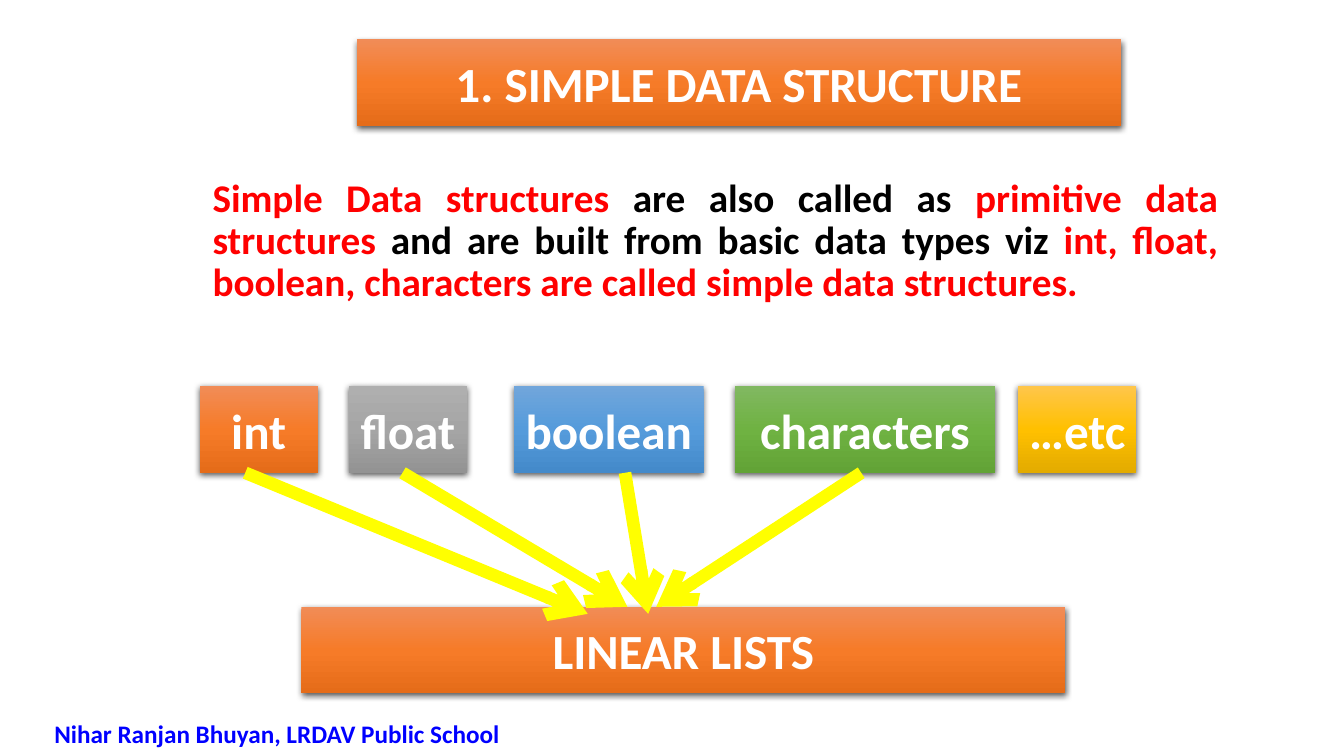
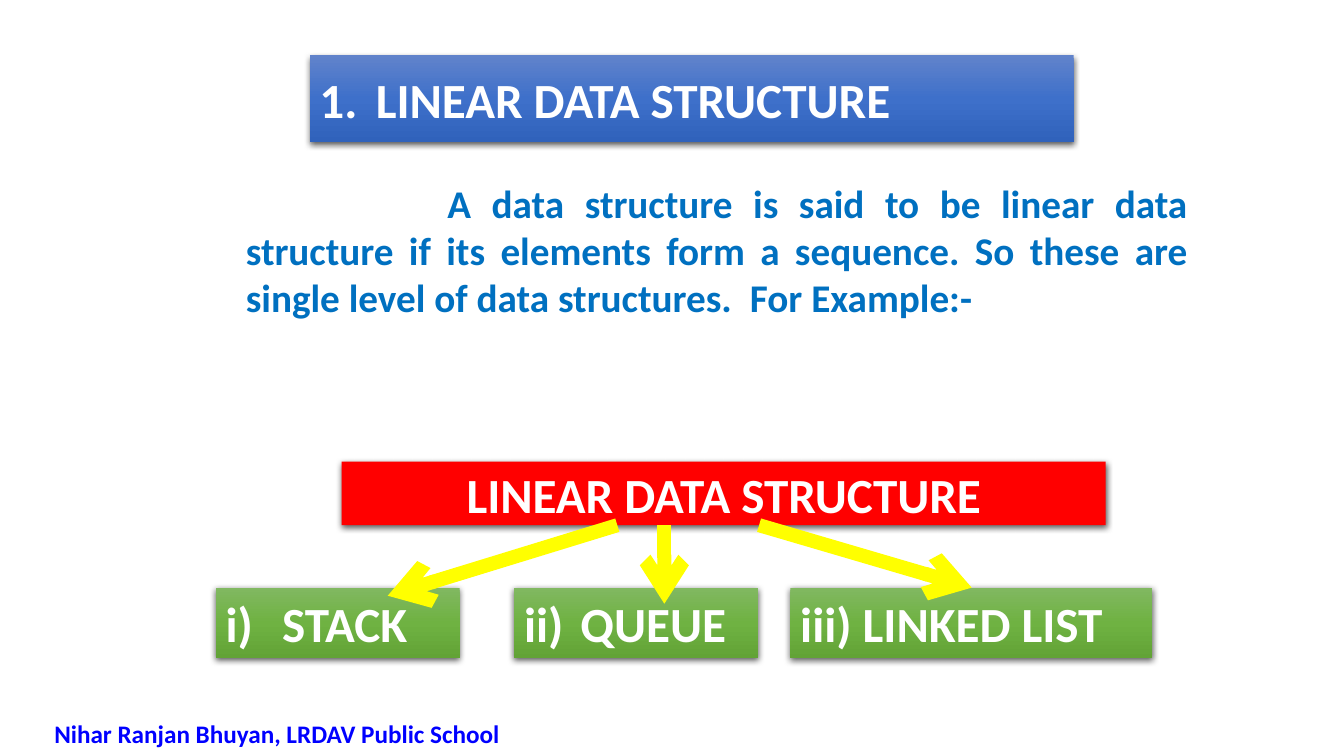
from collections import namedtuple
from copy import deepcopy

from lxml import etree
from pptx import Presentation
from pptx import util as u
from pptx.dml.color import RGBColor
from pptx.enum import shapes, text
from pptx.oxml import ns

# Boxes and offsets are percentages of the slide's width and height
SLIDE_WIDTH, SLIDE_HEIGHT = u.Inches(13.33), u.Inches(7.5)
Box = namedtuple("Box", "left top width height")

FONT = "Calibri"
BLOCK_SIZE, BODY_SIZE, FOOTER_SIZE = 35.1, 28, 18
HANGING = 0.56
BANNER_WIDTH, BANNER_HEIGHT = 56.85, 11.47

WHITE = RGBColor(0xFF, 0xFF, 0xFF)
BLACK = RGBColor(0x00, 0x00, 0x00)
RED = RGBColor(0xFF, 0x00, 0x00)
YELLOW = RGBColor(0xFF, 0xFF, 0x00)
FOOTER_BLUE = RGBColor(0x00, 0x00, 0xFF)
BODY_BLUE = RGBColor(0x00, 0x70, 0xC0)

# Gradients run from top to bottom
ORANGE = (RGBColor(0xF1, 0x8C, 0x57), RGBColor(0xF6, 0x7B, 0x28), RGBColor(0xE5, 0x6C, 0x19))
GRAY = (RGBColor(0xAF, 0xAF, 0xAF), RGBColor(0xA5, 0xA5, 0xA5), RGBColor(0x93, 0x93, 0x93))
SKY = (RGBColor(0x71, 0xA6, 0xDB), RGBColor(0x55, 0x9B, 0xDB), RGBColor(0x44, 0x8A, 0xCA))
GREEN = (RGBColor(0x81, 0xB8, 0x61), RGBColor(0x6F, 0xB2, 0x42), RGBColor(0x62, 0xA3, 0x36))
GOLD = (RGBColor(0xFF, 0xC6, 0x4B), RGBColor(0xFF, 0xC0, 0x00), RGBColor(0xE3, 0xAB, 0x00))
BLUE = (RGBColor(0x61, 0x83, 0xCB), RGBColor(0x3E, 0x70, 0xCA), RGBColor(0x30, 0x62, 0xBB))


def across(share):
    return round(SLIDE_WIDTH * share / 100)


def down(share):
    return round(SLIDE_HEIGHT * share / 100)


def place(box):
    return across(box.left), down(box.top), across(box.width), down(box.height)


def add_runs(paragraph, runs, size):
    for words, color in runs:
        run = paragraph.add_run()
        run.text = words
        run.font.name = FONT
        run.font.size = u.Pt(size)
        run.font.bold = True
        run.font.color.rgb = color


def set_indent(paragraph, margin, first_line):
    properties = paragraph._p.get_or_add_pPr()
    properties.set("marL", str(u.Inches(margin)))
    properties.set("indent", str(u.Inches(first_line)))


def fill_gradient(shape, colors):
    shape.fill.gradient()
    shape.fill.gradient_angle = 270
    stop_list = shape._element.spPr.find(".//" + ns.qn("a:gsLst"))
    stop_list.append(deepcopy(stop_list[-1]))
    for stop, position, color in zip(shape.fill.gradient_stops, (0, 0.5, 1), colors):
        stop.position = position
        stop.color.rgb = color


def add_shadow(shape):
    shape.shadow.inherit = False
    effects = shape._element.spPr.find(ns.qn("a:effectLst"))
    shadow = etree.SubElement(effects, ns.qn("a:outerShdw"), blurRad=str(u.Pt(4.5)),
                              dist=str(u.Pt(1.5)), dir="5400000", algn="ctr", rotWithShape="0")
    color = etree.SubElement(shadow, ns.qn("a:srgbClr"), val=str(BLACK))
    etree.SubElement(color, ns.qn("a:alpha"), val="63000")


def add_block(slide, box, label, colors, centered=True):
    """Shadowed rectangle; labels that are not centred have a hanging number."""
    shape = slide.shapes.add_shape(shapes.MSO_SHAPE.RECTANGLE, *place(box))
    if isinstance(colors, RGBColor):
        shape.fill.solid()
        shape.fill.fore_color.rgb = colors
    else:
        fill_gradient(shape, colors)
    shape.line.fill.background()
    add_shadow(shape)
    frame = shape.text_frame
    frame.word_wrap = True
    frame.vertical_anchor = text.MSO_ANCHOR.MIDDLE
    paragraph = frame.paragraphs[0]
    if centered:
        paragraph.alignment = text.PP_ALIGN.CENTER
    else:
        paragraph.alignment = text.PP_ALIGN.LEFT
        set_indent(paragraph, HANGING, -HANGING)
    add_runs(paragraph, [(label, WHITE)], BLOCK_SIZE)


def add_block_row(slide, row, blocks, centered=True):
    """Blocks as (label, offset in the row, width, colours); returns their boxes."""
    boxes = []
    for label, offset, width, colors in blocks:
        box = Box(row.left + offset, row.top, width, row.height)
        add_block(slide, box, label, colors, centered)
        boxes.append(box)
    return boxes


def add_arrow(slide, source, start, target, end, drop, weight):
    """Arrow from the bottom edge of source to a point below target's top edge."""
    arrow = slide.shapes.add_connector(
        shapes.MSO_CONNECTOR.STRAIGHT,
        across(source.left + start), down(source.top + source.height),
        across(target.left + end), down(target.top + drop))
    arrow.line.color.rgb = YELLOW
    arrow.line.width = u.Pt(weight)
    etree.SubElement(arrow.line._get_or_add_ln(), ns.qn("a:tailEnd"), type="arrow")
    etree.SubElement(arrow._element.spPr, ns.qn("a:effectLst"))


def add_text(slide, box, runs, size):
    frame = slide.shapes.add_textbox(*place(box)).text_frame
    frame.word_wrap = True
    paragraph = frame.paragraphs[0]
    add_runs(paragraph, runs, size)
    return paragraph


def add_body(slide, box, runs, margin, first_line=0, line_spacing=1.0):
    paragraph = add_text(slide, box, runs, BODY_SIZE)
    paragraph.alignment = text.PP_ALIGN.JUSTIFY
    paragraph.line_spacing = line_spacing
    set_indent(paragraph, margin, first_line)


def add_slide(presentation):
    """Blank slide with the shared footer."""
    slide = presentation.slides.add_slide(presentation.slide_layouts[6])
    footer = "Nihar Ranjan Bhuyan, LRDAV Public School"
    add_text(slide, Box(3.3, 94.4, 35.8, 5.33), [(footer, FOOTER_BLUE)], FOOTER_SIZE)
    return slide


def build_simple_slide(presentation):
    slide = add_slide(presentation)
    # Title and definition
    title = Box(26.55, 5.2, BANNER_WIDTH, BANNER_HEIGHT)
    add_block(slide, title, "1. SIMPLE DATA STRUCTURE", ORANGE)
    add_body(slide, Box(9.45, 22.93, 81.9, 20), [
        ("Simple Data structures ", RED),
        ("are also called as ", BLACK),
        ("primitive data structures ", RED),
        ("and are built from basic data types viz ", BLACK),
        ("int, float, boolean, characters are called simple data structures.", RED),
    ], margin=0.75, line_spacing=0.9)
    # Data types leading to linear lists
    lists = Box(22.43, 80.27, BANNER_WIDTH, BANNER_HEIGHT)
    add_block(slide, lists, "LINEAR LISTS", ORANGE)
    types = add_block_row(slide, Box(14.85, 51.07, 69.7, BANNER_HEIGHT), [
        ("int", 0, 8.8, ORANGE),
        ("float", 11.1, 8.8, GRAY),
        ("boolean", 23.4, 14.1, SKY),
        ("characters", 39.83, 19.35, GREEN),
        ("…etc", 60.9, 8.8, GOLD),
    ])
    arrows = [(3.4, 21.3, 0.93), (4, 24.25, 0), (8.25, 25.8, 0.93), (9.4, 26.4, 0)]
    for source, (start, end, drop) in zip(types, arrows):
        add_arrow(slide, source, start, lists, end, drop, weight=9)


def build_linear_slide(presentation):
    slide = add_slide(presentation)
    # Title and definition
    title = Box(23.03, 7.33, BANNER_WIDTH, BANNER_HEIGHT)
    add_block(slide, title, "1.\tLINEAR DATA STRUCTURE", BLUE, centered=False)
    add_body(slide, Box(11.48, 23.07, 77.63, 23.6), [
        ("A data structure is said to be linear data structure if its elements form "
         "a sequence. So these are single level of data structures.\tFor Example:-", BODY_BLUE),
    ], margin=0.81, first_line=2)
    # Tree of linear structures
    root = Box(25.43, 61.07, BANNER_WIDTH, 8.4)
    add_block(slide, root, "LINEAR DATA STRUCTURE", RED)
    kinds = add_block_row(slide, Box(16.05, 77.73, 69.7, 9.33), [
        ("i)\tSTACK", 0, 18.15, GREEN),
        ("ii)\tQUEUE", 22.2, 18.15, GREEN),
        ("iii) LINKED LIST", 42.75, 26.95, GREEN),
    ], centered=False)
    arrows = [(20.5, 12.8, 1.07), (24, 11.18, 2.13), (31.05, 13.5, 0)]
    for target, (start, end, drop) in zip(kinds, arrows):
        add_arrow(slide, root, start, target, end, drop, weight=10)


def main():
    presentation = Presentation()
    presentation.slide_width, presentation.slide_height = SLIDE_WIDTH, SLIDE_HEIGHT
    build_simple_slide(presentation)
    build_linear_slide(presentation)
    presentation.save("out.pptx")


if __name__ == "__main__":
    main()
